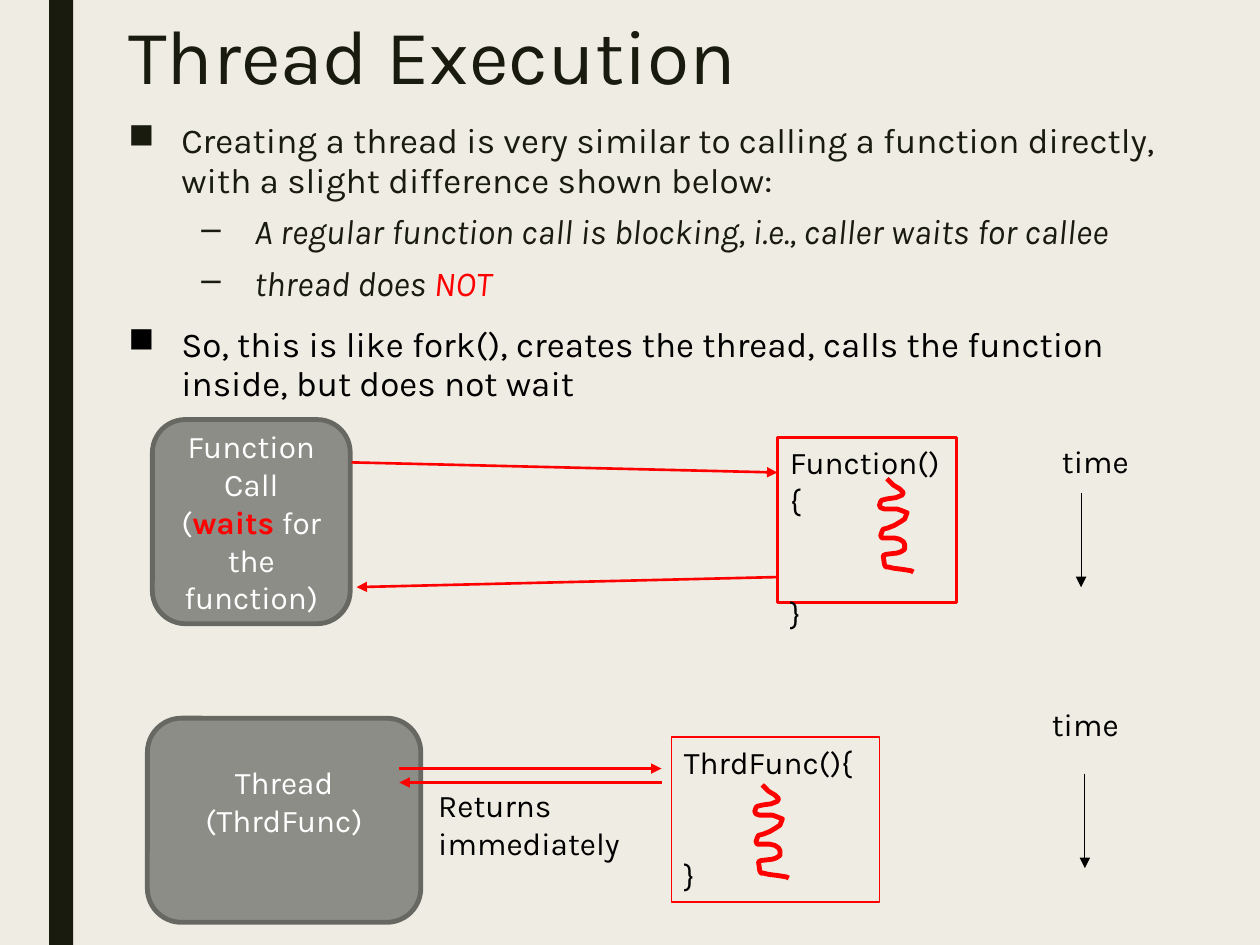
from lxml import etree
from pptx import Presentation
from pptx.dml.color import RGBColor
from pptx.enum.shapes import MSO_CONNECTOR, MSO_SHAPE
from pptx.enum.text import MSO_ANCHOR, PP_ALIGN
from pptx.oxml.ns import qn
from pptx.util import Inches, Pt

RECTANGLE = MSO_SHAPE.RECTANGLE
ROUNDED = MSO_SHAPE.ROUNDED_RECTANGLE
STRAIGHT = MSO_CONNECTOR.STRAIGHT
TOP, MIDDLE = MSO_ANCHOR.TOP, MSO_ANCHOR.MIDDLE
LEFT, CENTER = PP_ALIGN.LEFT, PP_ALIGN.CENTER
CREAM = RGBColor(0xEF, 0xED, 0xE3)
DARK = RGBColor(0x19, 0x1B, 0x0E)
GRAY = RGBColor(0x8C, 0x8D, 0x86)
GRAY_EDGE = RGBColor(0x68, 0x68, 0x63)
RED = RGBColor(0xFF, 0, 0)
BLACK = RGBColor(0, 0, 0)
WHITE = RGBColor(0xFF, 0xFF, 0xFF)


def add_run(paragraph, text, size, color, bold=False, italic=False):
    run = paragraph.add_run()
    run.text = text
    run.font.name = "Karla"
    run.font.size = Pt(size)
    run.font.color.rgb = color
    run.font.bold = bold
    run.font.italic = italic


def add_box(kind, left, top, width, height, fill, edge, weight):
    shape = slide.shapes.add_shape(
        kind, Inches(left), Inches(top), Inches(width), Inches(height))
    shape.shadow.inherit = False
    if fill is None:
        shape.fill.background()
    else:
        shape.fill.solid()
        shape.fill.fore_color.rgb = fill
    if edge is None:
        shape.line.fill.background()
    else:
        shape.line.color.rgb = edge
        shape.line.width = Pt(weight)
    return shape


presentation = Presentation()
presentation.slide_width = Inches(10)
presentation.slide_height = Inches(7.5)
slide = presentation.slides.add_slide(presentation.slide_layouts[6])
slide.background.fill.solid()
slide.background.fill.fore_color.rgb = CREAM

add_box(RECTANGLE, 0.39, 0, 0.19, 7.5, DARK, None, 0)

labels = [
    ("Thread Execution", 0.92, 0.1, 7.88, 1.02, 44, DARK, 0.89),
    ("time", 8.33, 3.46, 0.92, 0.4, 18, BLACK, 1.0),
    ("time", 8.25, 5.55, 0.92, 0.4, 18, BLACK, 1.0),
    ("Returns immediately", 3.38, 6.19, 1.93, 0.71, 18, BLACK, 1.0),
]
for text, left, top, width, height, size, color, spacing in labels:
    label = slide.shapes.add_textbox(
        Inches(left), Inches(top), Inches(width), Inches(height))
    label.text_frame.word_wrap = True
    paragraph = label.text_frame.paragraphs[0]
    paragraph.line_spacing = spacing
    add_run(paragraph, text, size, color)

bullets = [
    (0, [("Creating a thread is very similar to calling a function directly, "
          "with a slight difference shown below:", DARK)]),
    (1, [("A regular function call is blocking, i.e., caller waits for callee", DARK)]),
    (1, [("thread does ", DARK), ("NOT", RED)]),
    (0, [("So, this is like fork(), creates the thread, calls the function "
          "inside, but does not wait", BLACK)]),
]
body = slide.shapes.add_textbox(Inches(0.92), Inches(0.92), Inches(8.62), Inches(5.26))
body.text_frame.word_wrap = True
for index, (level, runs) in enumerate(bullets):
    paragraph = body.text_frame.add_paragraph() if index else body.text_frame.paragraphs[0]
    paragraph.level = level
    paragraph.line_spacing = 0.94
    paragraph.space_before = Pt(5 if level else 10)
    paragraph.space_after = Pt(2)
    properties = paragraph._p.get_or_add_pPr()
    properties.set("marL", str(Inches(1 if level else 0.42)))
    properties.set("indent", str(Inches(-0.42)))
    etree.SubElement(properties, qn("a:buChar")).set("char", "–" if level else "■")
    for text, color in runs:
        add_run(paragraph, text, 20, color, italic=level == 1)

callers = [
    (1.21, 3.33, 1.57, 0.05,
     [("Function Call (", WHITE), ("waits", RED), (" for the function)", WHITE)]),
    (1.17, 5.7, 2.17, 0.35, [("Thread (ThrdFunc)", WHITE)]),
]
for left, top, width, bottom_inset, runs in callers:
    caller = add_box(ROUNDED, left, top, width, 1.62, GRAY, GRAY_EDGE, 2.75)
    frame = caller.text_frame
    frame.word_wrap = True
    frame.vertical_anchor = MIDDLE
    frame.margin_bottom = Inches(bottom_inset)
    paragraph = frame.paragraphs[0]
    paragraph.alignment = CENTER
    for text, color in runs:
        add_run(paragraph, text, 18, color, bold=color == RED)

callees = [
    ("Function(){", 6.17, 3.47, 1.42, 1.5),
    ("ThrdFunc(){", 5.33, 5.85, 1.65, 0.75),
]
for opening, left, top, width, weight in callees:
    callee = add_box(RECTANGLE, left, top, width, 1.31, None, RED, weight)
    frame = callee.text_frame
    frame.word_wrap = True
    frame.vertical_anchor = TOP
    first, last = frame.paragraphs[0], frame.add_paragraph()
    last.space_before = Pt(43)
    for paragraph, text in ((first, opening), (last, "}")):
        paragraph.alignment = LEFT
        add_run(paragraph, text, 18, BLACK)

arrows = [
    (2.79, 3.67, 6.17, 3.75, RED, 1.5),
    (6.17, 4.58, 2.83, 4.66, RED, 1.5),
    (3.17, 6.1, 5.25, 6.1, RED, 1.5),
    (5.25, 6.21, 3.17, 6.21, RED, 1.5),
    (8.58, 3.91, 8.58, 4.66, BLACK, 0.5),
    (8.61, 6.14, 8.61, 6.89, BLACK, 0.5),
]
for x1, y1, x2, y2, color, weight in arrows:
    arrow = slide.shapes.add_connector(
        STRAIGHT, Inches(x1), Inches(y1), Inches(x2), Inches(y2))
    arrow.line.color.rgb = color
    arrow.line.width = Pt(weight)
    etree.SubElement(arrow.line._get_or_add_ln(), qn("a:tailEnd")).set("type", "triangle")
    etree.SubElement(arrow._element.spPr, qn("a:effectLst"))

squiggle = [
    (0.06, 0), (0.08, 0.02), (0.11, 0.05), (0.16, 0.08), (0.19, 0.11), (0.18, 0.13),
    (0.13, 0.15), (0.06, 0.16), (0.02, 0.17), (0.01, 0.18), (0, 0.21), (0.01, 0.23),
    (0.04, 0.24), (0.14, 0.24), (0.17, 0.25), (0.22, 0.27), (0.2, 0.32), (0.17, 0.34),
    (0.12, 0.37), (0.07, 0.39), (0.03, 0.4), (0.02, 0.42), (0.01, 0.45), (0.02, 0.47),
    (0.12, 0.47), (0.16, 0.48), (0.19, 0.5), (0.2, 0.52), (0.2, 0.56), (0.17, 0.58),
    (0.14, 0.59), (0.05, 0.6), (0.03, 0.61), (0.04, 0.68), (0.05, 0.7), (0.07, 0.7),
    (0.11, 0.71), (0.19, 0.72), (0.25, 0.73), (0.27, 0.74),
]
for left, top in ((6.98, 3.8), (5.99, 6.23)):
    points = [(Inches(left + x), Inches(top + y)) for x, y in squiggle]
    builder = slide.shapes.build_freeform(*points[0])
    builder.add_line_segments(points[1:], close=False)
    thread = builder.convert_to_shape()
    thread.shadow.inherit = False
    thread.fill.background()
    thread.line.color.rgb = RED
    thread.line.width = Pt(2.75)

presentation.save("out.pptx")
